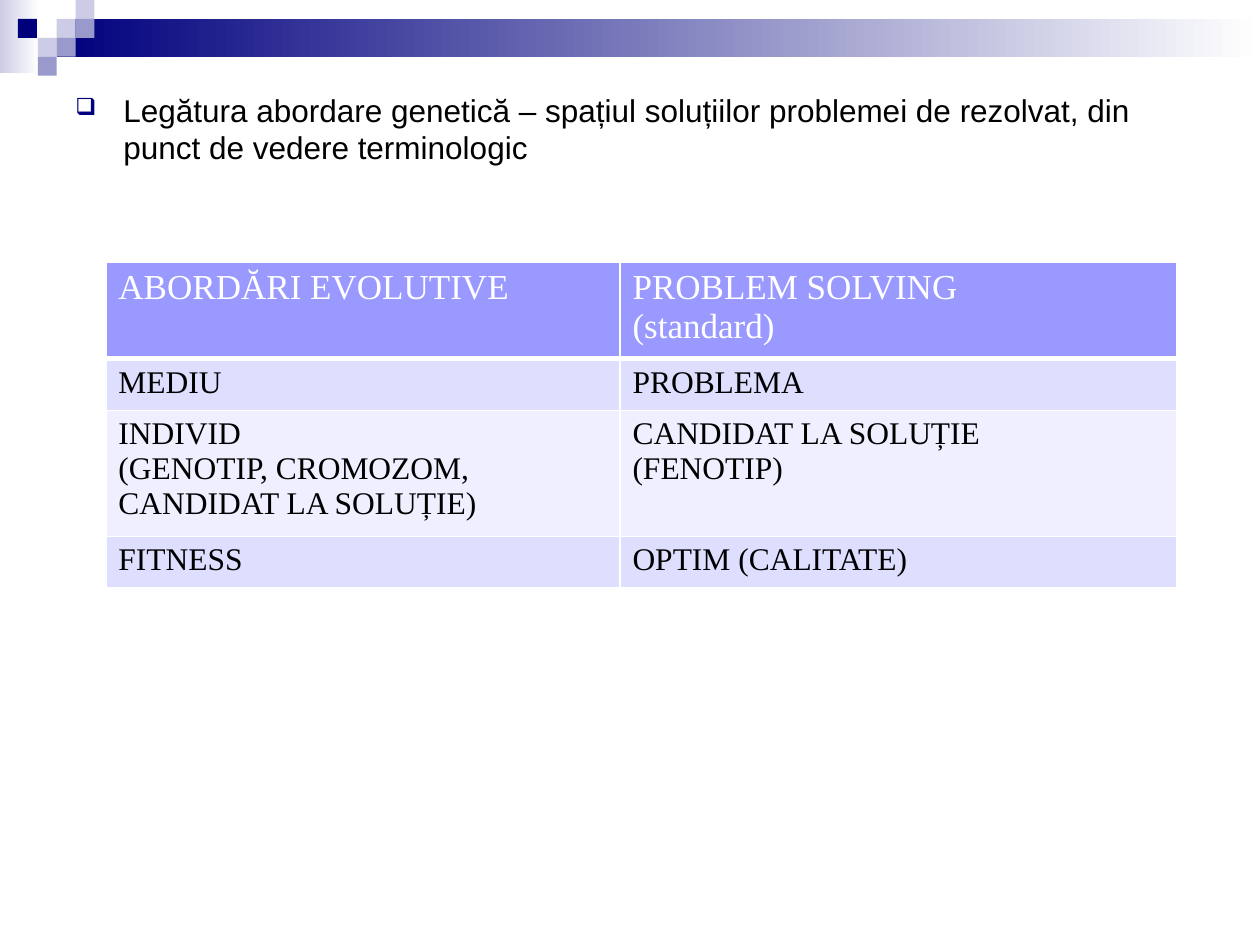
"""Build a slide with a decorated header, one bullet and a table of terms."""
from dataclasses import dataclass

from lxml import etree
from pptx import Presentation
from pptx import util as u
from pptx.dml import color
from pptx.enum import shapes
from pptx.oxml import ns

NAVY, LILAC, MAUVE, WHITE, BLACK = "00007D", "CCCCE6", "9999CC", "FFFFFF", "000000"
HEADER, BAND_DARK, BAND_LIGHT = "9999FF", "DEDEFF", "EFEFFF"
UNIT = 0.15


@dataclass(frozen=True)
class Block:
    column: float
    row: float
    columns: float
    rows: float
    fill: str
    fade: str = ""


@dataclass(frozen=True)
class TermRow:
    height: float
    fill: str
    cells: tuple[str, str]
    size: int = 18
    ink: str = BLACK
    rule: int = 1


BLOCKS = [
    Block(0, 0, 2.07, 3.87, LILAC, WHITE),
    Block(3, 1, 63.67, 2, NAVY, WHITE),
    Block(3, 1, 1, 1, LILAC),
    Block(4, 0, 1, 1, LILAC),
    Block(4, 1, 1, 1, MAUVE),
    Block(2, 2, 1, 1, LILAC),
    Block(0.95, 1, 1, 1, NAVY),
    Block(3, 2, 1, 1, MAUVE),
    Block(2, 3, 1, 1, MAUVE),
]
COLUMN_WIDTHS = (4.08, 4.42)
TERMS = [
    TermRow(0.71, HEADER, ("ABORDĂRI EVOLUTIVE", "PROBLEM SOLVING\n(standard)"), 20, WHITE, 3),
    TermRow(0.41, BAND_DARK, ("MEDIU", "PROBLEMA")),
    TermRow(0.93, BAND_LIGHT, ("INDIVID\n(GENOTIP, CROMOZOM, CANDIDAT LA SOLUȚIE)",
                               "CANDIDAT LA SOLUȚIE\n(FENOTIP)")),
    TermRow(0.41, BAND_DARK, ("FITNESS", "OPTIM (CALITATE)")),
]


def rgb(value: str) -> color.RGBColor:
    return color.RGBColor.from_string(value)


def write(frame, content: str, *, font: str, size: float, ink: str = BLACK) -> None:
    frame.word_wrap = True
    frame.text = content
    for para in frame.paragraphs:
        for span in para.runs:
            span.font.name = font
            span.font.size = u.Pt(size)
            span.font.color.rgb = rgb(ink)


def draw_block(page, block: Block) -> None:
    lengths = (block.column, block.row, block.columns, block.rows)
    box = page.shapes.add_shape(shapes.MSO_SHAPE.RECTANGLE,
                                *(u.Inches(length * UNIT) for length in lengths))
    box.shadow.inherit = False
    box.line.fill.background()
    if block.fade:
        box.fill.gradient()
        box.fill.gradient_angle = 0
        for stop, tint in zip(box.fill.gradient_stops, (block.fill, block.fade)):
            stop.color.rgb = rgb(tint)
    else:
        box.fill.solid()
        box.fill.fore_color.rgb = rgb(block.fill)


def add_bullet(para, mark: str, tint: str, percent: int, indent: float) -> None:
    props = para._p.get_or_add_pPr()
    props.set("marL", str(u.Inches(indent)))
    props.set("indent", str(-u.Inches(indent)))
    holder = etree.SubElement(props, ns.qn("a:buClr"))
    etree.SubElement(holder, ns.qn("a:srgbClr"), val=tint)
    etree.SubElement(props, ns.qn("a:buSzPct"), val=str(percent * 1000))
    etree.SubElement(props, ns.qn("a:buChar"), char=mark)


def draw_statement(page) -> None:
    box = page.shapes.add_textbox(*map(u.Inches, (0.5, 0.67, 8.92, 6.25)))
    write(box.text_frame, "Legătura abordare genetică – spațiul soluțiilor problemei de rezolvat, "
          "din punct de vedere terminologic", font="Arial", size=18)
    para = box.text_frame.paragraphs[0]
    para.space_before = u.Pt(3.6)
    add_bullet(para, "❑", NAVY, 75, 0.38)


def add_borders(cell, bottom: int) -> None:
    props = cell._tc.get_or_add_tcPr()
    sides = {"a:lnL": 1, "a:lnR": 1, "a:lnT": 1, "a:lnB": bottom}
    for place, (side, width) in enumerate(sides.items()):
        line = etree.Element(ns.qn(side), w=str(u.Pt(width)))
        fill = etree.SubElement(line, ns.qn("a:solidFill"))
        etree.SubElement(fill, ns.qn("a:srgbClr"), val=WHITE)
        props.insert(place, line)


def draw_terms(page) -> None:
    size = (sum(COLUMN_WIDTHS), sum(row.height for row in TERMS))
    table = page.shapes.add_table(len(TERMS), len(COLUMN_WIDTHS),
                                  *map(u.Inches, (0.84, 2.08, *size))).table
    for column, width in zip(table.columns, COLUMN_WIDTHS):
        column.width = u.Inches(width)
    for index, row in enumerate(TERMS):
        table.rows[index].height = u.Inches(row.height)
        for cell, content in zip(table.rows[index].cells, row.cells):
            cell.fill.solid()
            cell.fill.fore_color.rgb = rgb(row.fill)
            add_borders(cell, row.rule)
            write(cell.text_frame, content, font="Times New Roman", size=row.size, ink=row.ink)


def main() -> None:
    deck = Presentation()
    deck.slide_width, deck.slide_height = u.Inches(10), u.Inches(7.5)
    page = deck.slides.add_slide(deck.slide_layouts[6])
    for block in BLOCKS:
        draw_block(page, block)
    draw_statement(page)
    draw_terms(page)
    deck.save("out.pptx")


main()
